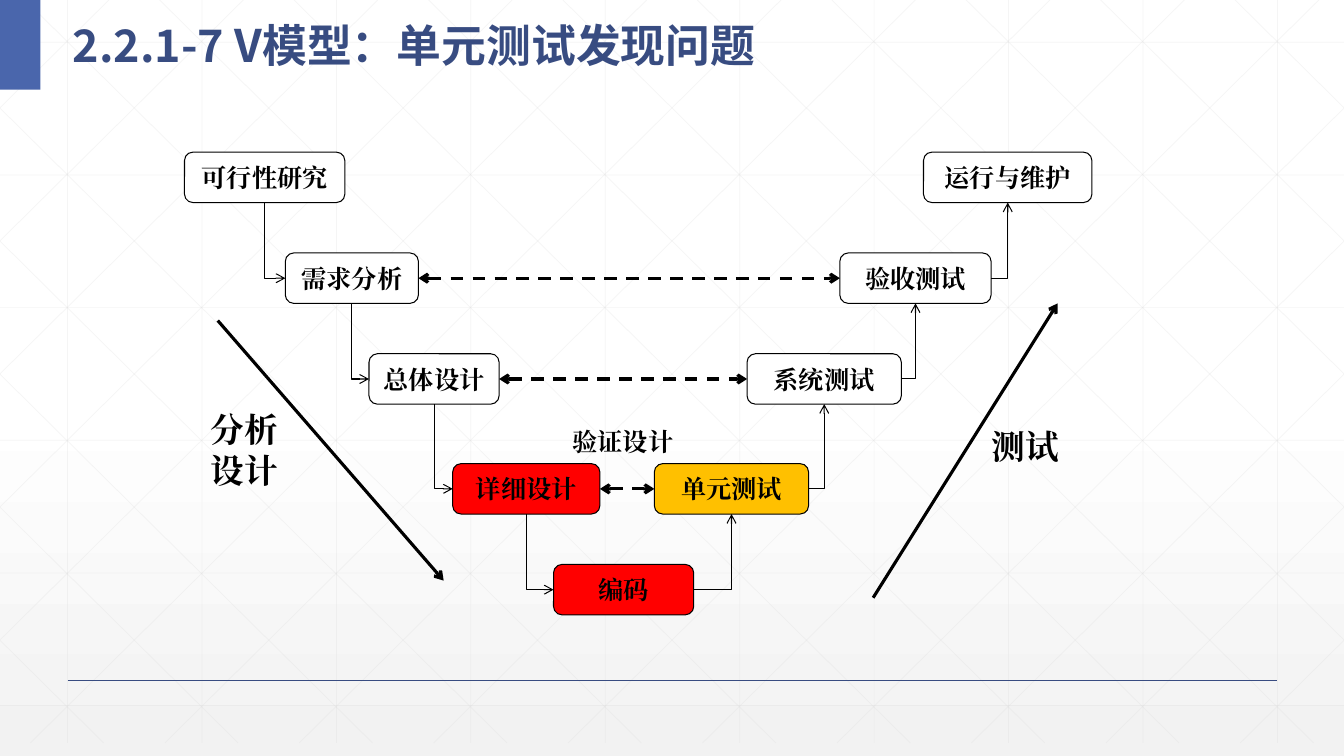
from lxml.etree import SubElement as Sub
from pptx import Presentation
from pptx.dml.color import RGBColor as RGB
from pptx.enum.dml import MSO_LINE as DASH
from pptx.enum.shapes import MSO_CONNECTOR as CONN, MSO_SHAPE as SHAPE
from pptx.enum.text import MSO_ANCHOR as ANCHOR, MSO_AUTO_SIZE as FIT, PP_ALIGN as ALIGN
from pptx.oxml.ns import qn
from pptx.util import Inches, Pt

COLORS = {"white": "FFFFFF", "fade": "F2F2F2", "grid": "D9D9D9", "navy": "384C81",
          "blue": "4A66AC", "black": "000000", "red": "FF0000", "amber": "FFC000"}
WIDTH, GRID_BOTTOM = 13.33, 7.37
BOX_H = 0.5
STAGES = [
    ("可行性研究", 1.83, 1.51, 1.59, "white"),
    ("需求分析", 2.83, 2.51, 1.32, "white"),
    ("总体设计", 3.66, 3.51, 1.29, "white"),
    ("详细设计", 4.49, 4.6, 1.46, "red"),
    ("编码", 5.49, 5.6, 1.39, "red"),
    ("单元测试", 6.49, 4.6, 1.53, "amber"),
    ("系统测试", 7.41, 3.51, 1.53, "white"),
    ("验收测试", 8.33, 2.51, 1.5, "white"),
    ("运行与维护", 9.16, 1.51, 1.67, "white"),
]
CODING = 4


def rgb(name):
    """Return the palette colour of that name."""
    return RGB.from_string(COLORS[name])


class Deck:
    """Holds the slide and draws each kind of element in its style."""

    title_font = "Noto Sans CJK SC"
    body_font = "Times New Roman"

    def __init__(self, prs):
        """Add a title slide and keep it as the current one."""
        self.s = prs.slides.add_slide(prs.slide_layouts[5])

    def background(self):
        """Fade the background from white to light grey."""
        fill = self.s.background.fill
        fill.gradient()
        fill.gradient_angle = 270
        for stop, name, pos in zip(fill.gradient_stops, ("white", "fade"), (0.53, 1)):
            stop.color.rgb = rgb(name)
            stop.position = pos

    def run(self, p, text, size, color="black", font=body_font):
        """Add one bold run to a paragraph."""
        r = p.add_run()
        r.text = text
        r.font.size, r.font.bold, r.font.name = Pt(size), True, font
        r.font.color.rgb = rgb(color)
        Sub(r.font._element, qn("a:ea"), typeface=font)

    def title(self, text):
        """Place the title placeholder in front and fill it."""
        sp = self.s.shapes.title
        self.s.shapes._spTree.append(sp._element)
        sp.left, sp.top, sp.width, sp.height = map(Inches, (0.62, 0, 8.5, 0.73))
        tf = sp.text_frame
        tf.auto_size, tf.vertical_anchor, tf.word_wrap = FIT.NONE, ANCHOR.MIDDLE, True
        p = tf.paragraphs[0]
        p.alignment, p.line_spacing = ALIGN.LEFT, 1.3
        self.run(p, text, 32, "navy", self.title_font)

    def shape(self, kind, at, fill, line=None):
        """Draw a filled preset shape."""
        sp = self.s.shapes.add_shape(kind, *map(Inches, at))
        sp.shadow.inherit = False
        sp.fill.solid()
        sp.fill.fore_color.rgb = rgb(fill)
        if line:
            sp.line.color.rgb, sp.line.width = rgb(line), Pt(0.75)
        else:
            sp.line.fill.background()
        return sp

    def stage(self, text, x, y, w, fill):
        """Draw one rounded stage box with its name."""
        tf = self.shape(SHAPE.ROUNDED_RECTANGLE, (x, y, w, BOX_H), fill, "black").text_frame
        tf.vertical_anchor, tf.word_wrap = ANCHOR.MIDDLE, True
        p = tf.paragraphs[0]
        p.alignment = ALIGN.CENTER
        self.run(p, text, 18)

    def label(self, at, lines, size):
        """Write a text box, one paragraph a line."""
        tf = self.s.shapes.add_textbox(*map(Inches, at)).text_frame
        tf.word_wrap = True
        for i, text in enumerate(lines):
            p = tf.add_paragraph() if i else tf.paragraphs[0]
            self.run(p, text, size)

    def line(self, start, end, color="black", width=0.75, kind=CONN.STRAIGHT,
             dash=None, ends=(), alpha=None):
        """Draw a connector with optional dash, arrowheads and opacity."""
        c = self.s.shapes.add_connector(kind, *map(Inches, start + end))
        c.line.color.rgb, c.line.width = rgb(color), Pt(width)
        if dash:
            c.line.dash_style = dash
        ln = c.line._get_or_add_ln()
        if alpha:
            Sub(ln.find(".//" + qn("a:srgbClr")), qn("a:alpha"), val=str(alpha * 1000))
        for tag in ends:
            Sub(ln, qn(tag), type="arrow")
        Sub(c._element.spPr, qn("a:effectLst"))
        return c

    def elbow(self, start, end, down):
        """Draw a one-bend arrow that goes down then right, or right then up."""
        (x1, y1), (x2, y2) = start, end
        if down:
            cx, cy, dx, dy = (x1 + x2) / 2, (y1 + y2) / 2, (x2 - x1) / 2, (y2 - y1) / 2
            start, end = (cx + dy, cy - dx), (cx - dy, cy + dx)
        c = self.line(start, end, kind=CONN.ELBOW, ends=("a:tailEnd",))
        pr = c._element.spPr
        pr.find(qn("a:prstGeom")).set("prst", "bentConnector2")
        if down:
            pr.find(qn("a:xfrm")).set("rot", "16200000")

    def grid(self):
        """Draw the faint grid with its mirrored diagonals."""
        step, slope = 4 / 3, 0.99
        lines = [((0.67 + i * step, 0), (0.67 + i * step, GRID_BOTTOM)) for i in range(10)]
        lines += [((0, 0.42 + i * 1.316), (WIDTH, 0.42 + i * 1.316)) for i in range(6)]
        for i in range(-5, 10):
            x = 0.25 + i * step
            x1, x2 = max(x, 0), min(x + GRID_BOTTOM / slope, WIDTH)
            y1, y2 = (x1 - x) * slope, (x2 - x) * slope
            lines += [((x1, y1), (x2, y2)), ((WIDTH - x1, y1), (WIDTH - x2, y2))]
        for start, end in lines:
            self.line(start, end, "grid", 0.5, alpha=25)


def main():
    """Build the V-model slide."""
    prs = Presentation()
    prs.slide_width, prs.slide_height = Inches(WIDTH), Inches(7.5)
    deck = Deck(prs)
    deck.background()
    deck.grid()
    deck.line((0.67, 6.75), (12.67, 6.75), "navy", 1)
    deck.shape(SHAPE.RECTANGLE, (0, 0, 0.4, 0.89), "blue")
    deck.title("2.2.1-7 V模型：单元测试发现问题")
    for stage in STAGES:
        deck.stage(*stage)

    for i, (a, b) in enumerate(zip(STAGES, STAGES[1:])):
        (_, ax, ay, aw, _), (_, bx, by, bw, _) = a, b
        if i < CODING:
            deck.elbow((ax + aw / 2, ay + BOX_H), (bx, by + BOX_H / 2), True)
        else:
            deck.elbow((ax + aw, ay + BOX_H / 2), (bx + bw / 2, by + BOX_H), False)

    for i in range(1, CODING):
        _, x, y, w, _ = STAGES[i]
        mid = y + BOX_H / 2
        deck.line((x + w, mid), (STAGES[-1 - i][1], mid), width=2.25,
                  dash=DASH.DASH, ends=("a:headEnd", "a:tailEnd"))

    for start, end in (((2.16, 3.18), (4.4, 5.76)), ((8.66, 5.93), (10.49, 3.01))):
        deck.line(start, end, width=2.25, ends=("a:tailEnd",))
    deck.label((1.99, 4.01, 1.25, 1.08), ["分析", "设计"], 24)
    deck.label((9.74, 4.18, 1, 0.67), ["测试"], 24)
    deck.label((5.58, 4.18, 1.33, 0.38), ["验证设计"], 18)
    prs.save("out.pptx")


if __name__ == "__main__":
    main()
